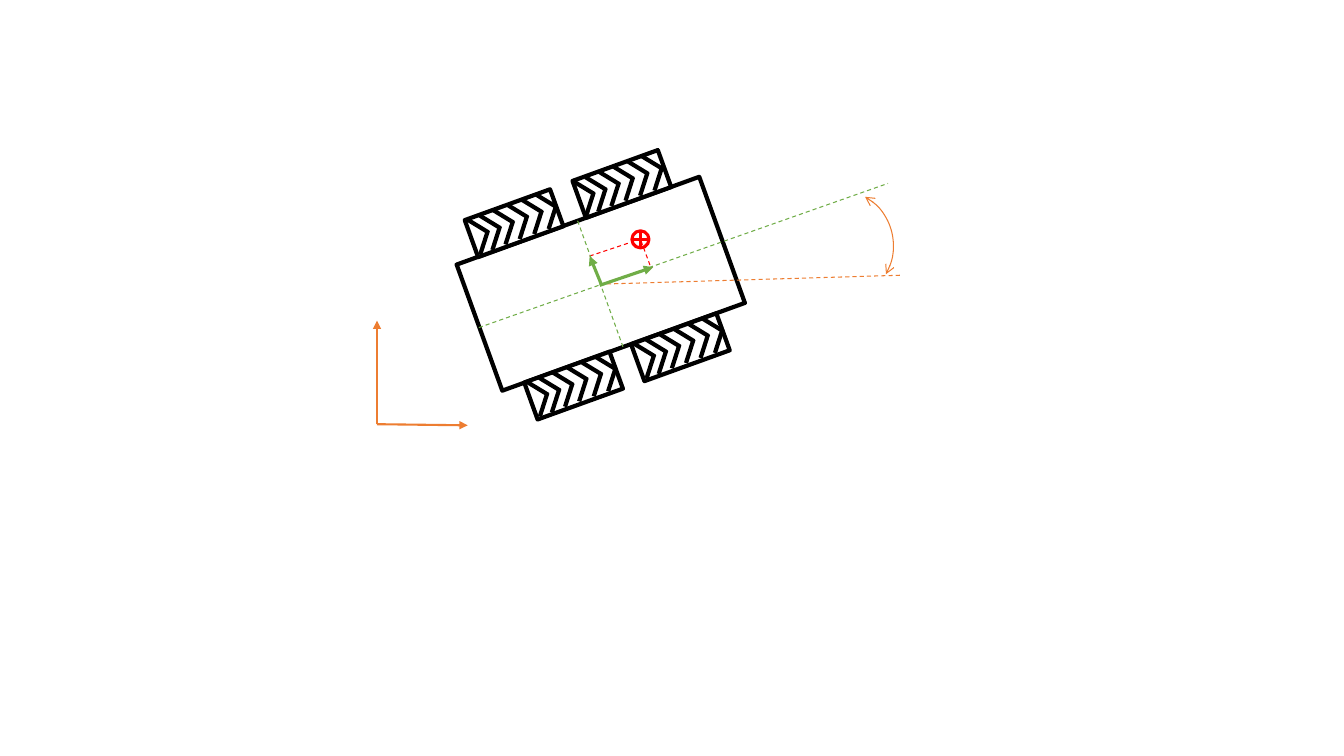
from lxml.etree import SubElement
from pptx import Presentation
from pptx.dml.color import RGBColor
from pptx.enum.dml import MSO_LINE
from pptx.enum.shapes import MSO_CONNECTOR, MSO_SHAPE
from pptx.oxml.ns import qn
from pptx.util import Pt

COLORS = {
    "outline": "000000",
    "paper": "FFFFFF",
    "world": "ED7D31",
    "robot": "70AD47",
    "target": "FF0000",
}

prs = Presentation()
prs.slide_width, prs.slide_height = Pt(960), Pt(540)
slide = prs.slides.add_slide(prs.slide_layouts[6])
diagram = slide.shapes.add_group_shape().shapes


def draw_line(start, end, color, width, dashed=False, arrow=False):
    segment = diagram.add_connector(
        MSO_CONNECTOR.STRAIGHT, *[Pt(value) for value in (*start, *end)]
    )
    segment.line.color.rgb = RGBColor.from_string(COLORS[color])
    segment.line.width = Pt(width)
    if dashed:
        segment.line.dash_style = MSO_LINE.DASH
    properties = segment.element.spPr
    if arrow:
        SubElement(properties.find(qn("a:ln")), qn("a:tailEnd"), type="triangle")
    SubElement(properties, qn("a:effectLst"))


def draw_shape(kind, box, color, width, rotation=0, fill=None):
    figure = diagram.add_shape(kind, *[Pt(value) for value in box])
    figure.rotation = rotation
    figure.shadow.inherit = False
    if fill:
        figure.fill.solid()
        figure.fill.fore_color.rgb = RGBColor.from_string(COLORS[fill])
    else:
        figure.fill.background()
    figure.line.color.rgb = RGBColor.from_string(COLORS[color])
    figure.line.width = Pt(width)
    return figure


HEADING = 340.1
wheels = [(334.8, 145.4), (377.3, 261.4), (411.8, 117.4), (453.6, 234)]
first_treads = [(334.1, 157), (376.6, 272.9), (409.7, 129.6), (452.9, 245.5)]
tread_offsets = [(0, 0), (8.6, -3), (18, -7), (28.1, -10.8), (38.5, -14.4), (48.8, -18)]

draw_shape(MSO_SHAPE.RECTANGLE, (337, 154.8, 184.3, 95.8), "outline", 3, HEADING, "paper")
for left, top in wheels:
    draw_shape(MSO_SHAPE.RECTANGLE, (left, top, 64.8, 28.1), "outline", 3, HEADING, "paper")

for left, top in first_treads:
    for dx, dy in tread_offsets:
        x, y = left + dx, top + dy
        draw_line((x, y), (x + 14.8, y + 9), "outline", 3)
        draw_line((x + 9, y + 24.6), (x + 14.4, y + 7.8), "outline", 3)

world_origin = (269.3, 303)
draw_line(world_origin, (269.3, 229), "world", 1.5, arrow=True)
draw_line(world_origin, (334.1, 303.8), "world", 1.5, arrow=True)

draw_line((342, 234), (634.3, 131), "robot", 0.75, dashed=True)
draw_shape(MSO_SHAPE.FLOWCHART_OR, (451.4, 164.9, 12.2, 12.2), "target", 2.25)
draw_line((428.4, 203), (643.7, 196.6), "world", 0.75, dashed=True)
draw_line((428.4, 203.8), (466.6, 190.8), "robot", 2.25, arrow=True)
draw_line((421.2, 182.9), (449.3, 173.5), "target", 0.75, dashed=True)
draw_line((412.6, 157.7), (445, 247.7), "robot", 0.75, dashed=True)
draw_line((429.8, 203.8), (421.2, 182.9), "robot", 2.25, arrow=True)
draw_line((457.9, 172.1), (465.1, 191.5), "target", 0.75, dashed=True)

heading_arc = draw_shape(MSO_SHAPE.ARC, (558, 135.4, 79.9, 82.1), "world", 0.75, 29.1)
for arc_end in ("a:headEnd", "a:tailEnd"):
    SubElement(heading_arc.element.spPr.find(qn("a:ln")), qn(arc_end), type="arrow")

prs.save("out.pptx")
